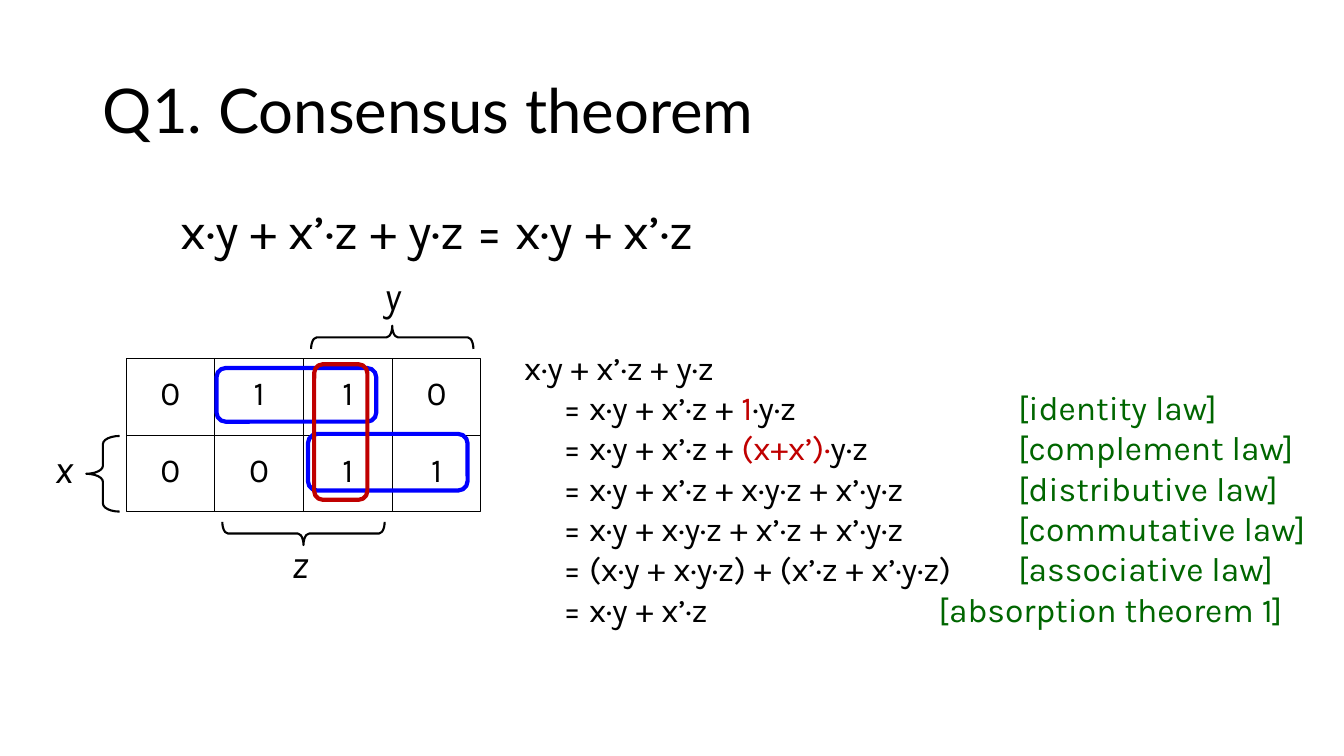
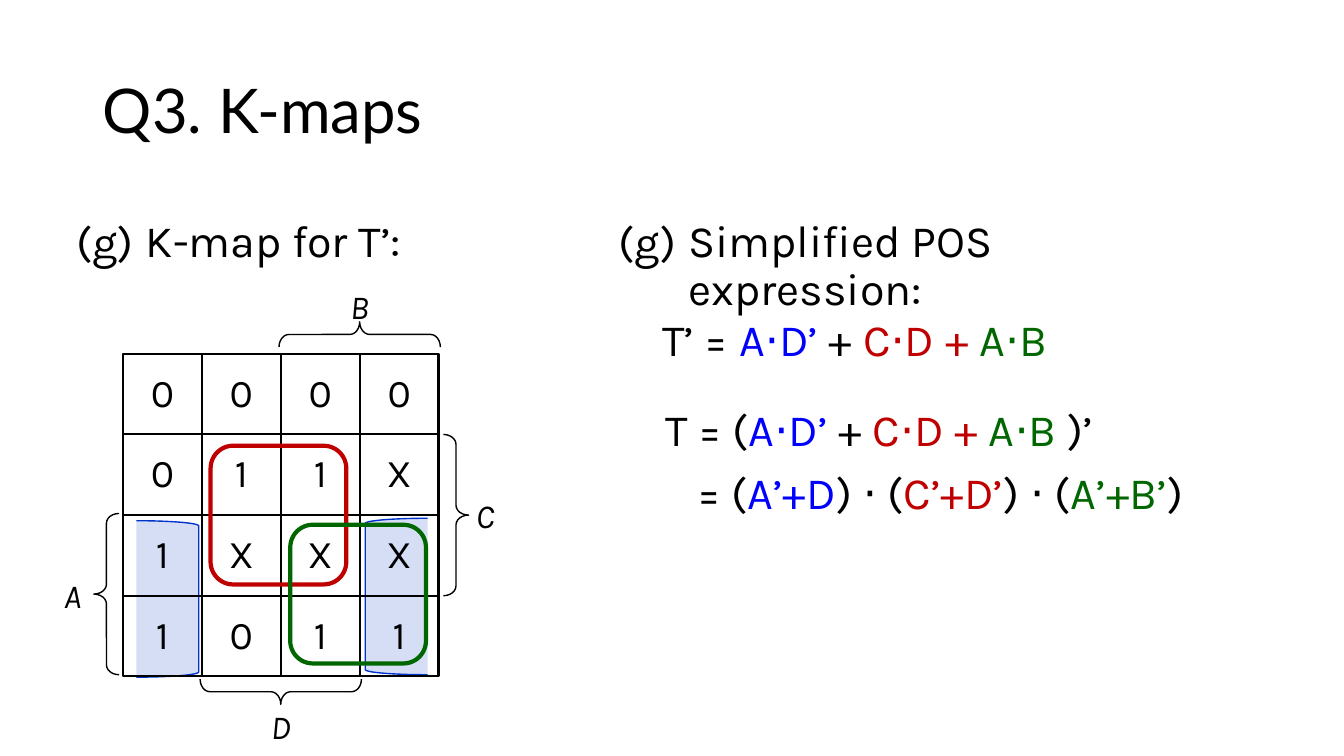
from lxml import etree
from pptx import Presentation
from pptx.dml.color import RGBColor
from pptx.enum.shapes import MSO_SHAPE
from pptx.enum.text import MSO_ANCHOR, MSO_AUTO_SIZE, PP_ALIGN
from pptx.oxml.ns import qn
from pptx.util import Inches, Pt

BLACK, BLUE, RED, GREEN, SHADE = "000000", "0000FF", "C00000", "006600", "0033CC"
BODY, HEAD = "Karla", "Lato"


def write(tf, text, size, font=BODY, align=PP_ALIGN.LEFT, italic=False, spacing=None,
          after=0, tabs=(), anchor=MSO_ANCHOR.TOP):
    """Text is a string, or paragraphs made of (words, colour) runs."""
    tf.word_wrap = True
    tf.auto_size = MSO_AUTO_SIZE.NONE
    tf.vertical_anchor = anchor
    paras = [[(text, BLACK)]] if isinstance(text, str) else text
    for i, runs in enumerate(paras):
        p = tf.add_paragraph() if i else tf.paragraphs[0]
        p.alignment = align
        p.space_after = Pt(after)
        if spacing:
            p.line_spacing = spacing
        if tabs:
            # the last paragraph may have its own second stop
            stops = tabs[min(i, len(tabs) - 1)]
            lst = etree.SubElement(p._p.get_or_add_pPr(), qn("a:tabLst"))
            for stop in stops:
                etree.SubElement(lst, qn("a:tab"), pos=str(Inches(stop)), algn="l")
        for words, color in runs:
            r = p.add_run()
            r.text = words
            r.font.name, r.font.size, r.font.italic = font, Pt(size), italic
            r.font.color.rgb = RGBColor.from_string(color)


def draw(s, kind, x, y, w, h, line, pt, fill=None, alpha=16, rot=0, adj=None):
    sp = s.shapes.add_shape(kind, Inches(x), Inches(y), Inches(w), Inches(h))
    sp.shadow.inherit = False
    sp.line.color.rgb = RGBColor.from_string(line)
    sp.line.width = Pt(pt)
    sp.rotation = rot
    if adj:
        sp.adjustments[0] = adj
    if fill:
        sp.fill.solid()
        sp.fill.fore_color.rgb = RGBColor.from_string(fill)
        clr = sp.fill._xPr.find(".//" + qn("a:srgbClr"))
        etree.SubElement(clr, qn("a:alpha"), val=str(alpha * 1000))
    else:
        sp.fill.background()
    return sp


prs = Presentation()
prs.slide_width, prs.slide_height = Inches(13.33), Inches(7.5)

# K-maps: places inside a map are in columns and rows from its top left corner
# braces: label, label centre, brace centre, length, depth, rotation
# shades and loops: kind or colour, column, row, columns wide, rows high
kmaps = [
    dict(title="Q1. Consensus theorem", x=1.25, y=3.56, cw=0.88, rh=0.76,
         rows=["0110", "0011"], size=24, label_size=28, pt=0.75, lift=0.1,
         brace_pt=1.5, adj=0.243,
         braces=[("x", (-0.7, 1.42), (-0.26, 1.5), 0.75, 0.33, 0),
                 ("y", (3, -0.84), (3, -0.28), 1.61, 0.23, 90),
                 ("z", (1.96, 2.66), (2, 2.28), 1.61, 0.23, 270)],
         shades=[],
         loops=[(BLUE, 1.02, 0.12, 1.8, 0.7), (BLUE, 2.05, 0.98, 1.8, 0.74),
                (RED, 2.12, 0.07, 0.6, 1.77)]),
    dict(title="Q3. K-maps", x=1.22, y=3.51, cw=3.13 / 4, rh=0.8,
         rows=["0000", "011X", "1XXX", "1011"], size=28, label_size=24, pt=1.5, lift=0.05,
         brace_pt=1, adj=0.389,
         braces=[("A", (-0.64, 2.99), (-0.21, 2.98), 1.6, 0.25, 0),
                 ("B", (3, -0.59), (3, -0.24), 1.6, 0.25, 90),
                 ("C", (4.59, 2), (4.22, 2), 1.6, 0.25, 180),
                 ("D", (2, 4.62), (2, 4.19), 1.6, 0.25, 270)],
         shades=[(MSO_SHAPE.LEFT_BRACKET, 3.07, 2.04, 0.79, 1.94),
                 (MSO_SHAPE.RIGHT_BRACKET, 0.17, 2.07, 0.79, 1.94)],
         loops=[(RED, 1.11, 1.14, 1.72, 1.72), (GREEN, 2.12, 2.12, 1.72, 1.72)]),
]

for k in kmaps:
    s = prs.slides.add_slide(prs.slide_layouts[5])
    x, y, cw, rh = k["x"], k["y"], k["cw"], k["rh"]

    # Title
    title = s.shapes.title
    title.left, title.top = Inches(0.92), Inches(0.4)
    title.width, title.height = Inches(11.5), Inches(1.45)
    write(title.text_frame, k["title"], 44, font=HEAD, spacing=0.9, anchor=MSO_ANCHOR.MIDDLE)

    # Shaded halves of the wrapped group
    for kind, c, r, w, h in k["shades"]:
        draw(s, kind, x + c * cw, y + r * rh, w * cw, h * rh, SHADE, 1, fill=SHADE)

    # Cells
    for r, row in enumerate(k["rows"]):
        for c, value in enumerate(row):
            cell = draw(s, MSO_SHAPE.RECTANGLE, x + c * cw, y + r * rh, cw, rh, BLACK, k["pt"])
            tf = cell.text_frame
            tf.margin_top, tf.margin_bottom = 0, Inches(k["lift"])
            write(tf, value, k["size"], align=PP_ALIGN.CENTER, anchor=MSO_ANCHOR.MIDDLE)

    # Braces and variable names
    for name, (lc, lr), (bc, br), length, depth, rot in k["braces"]:
        draw(s, MSO_SHAPE.LEFT_BRACE, x + bc * cw - depth / 2, y + br * rh - length / 2,
             depth, length, BLACK, k["brace_pt"], rot=rot, adj=k["adj"])
        tb = s.shapes.add_textbox(Inches(x + lc * cw - 0.3), Inches(y + lr * rh - 0.28),
                                  Inches(0.6), Inches(0.56))
        write(tb.text_frame, name, k["label_size"], align=PP_ALIGN.CENTER, italic=True,
              anchor=MSO_ANCHOR.MIDDLE)

    # Loops around groups of ones
    for color, c, r, w, h in k["loops"]:
        draw(s, MSO_SHAPE.ROUNDED_RECTANGLE, x + c * cw, y + r * rh, w * cw, h * rh, color, 3)

# Formulas: slide, place, text, size, format
proof = [
    [("x·y + x’·z + y·z", BLACK)],
    [("\t= x·y + x’·z + ", BLACK), ("1", RED), ("·y·z", BLACK), ("\t[identity law]", GREEN)],
    [("\t= x·y + x’·z + ", BLACK), ("(x+x’)·", RED), ("y·z", BLACK),
     ("\t[complement law]", GREEN)],
    [("\t= x·y + x’·z + x·y·z + x’·y·z", BLACK), ("\t[distributive law]", GREEN)],
    [("\t= x·y + x·y·z + x’·z + x’·y·z", BLACK), ("\t[commutative law]", GREEN)],
    [("\t= (x·y + x·y·z) + (x’·z + x’·y·z)", BLACK), ("\t[associative law]", GREEN)],
    [("\t= x·y + x’·z", BLACK), ("\t[absorption theorem 1]", GREEN)],
]
terms = [("A⋅D’ ", BLUE), ("+ ", BLACK), ("C⋅D + ", RED), ("A⋅B", GREEN)]
pos = [
    [("T = (", BLACK), *terms, (" )’", BLACK)],
    [("\t= (", BLACK), ("A’+D", BLUE), (") ⋅ (", BLACK), ("C’+D’", RED), (") ⋅ (", BLACK),
     ("A’+B’", GREEN), (")", BLACK)],
]
formulas = [
    (0, (1.31, 1.93, 6.05, 0.71), "x·y + x’·z + y·z = x·y + x’·z", 36,
     dict(align=PP_ALIGN.CENTER)),
    (0, (5.1, 3.39, 8.24, 2.93), proof, 24, dict(tabs=[(0.39, 4.9)] * 6 + [(0.39, 4.11)])),
    (1, (0.66, 2.13, 0.86, 0.72), "(g)", 32, dict(spacing=0.9)),
    (1, (1.35, 2.12, 5.14, 0.72), "K-map for T’:", 32, dict(spacing=0.9)),
    (1, (6.04, 2.13, 0.86, 0.72), "(g)", 32, dict(spacing=0.9)),
    (1, (6.73, 2.12, 5.14, 0.72), "Simplified POS expression:", 32, dict(spacing=0.9)),
    (1, (6.47, 3.1, 4.42, 0.72), [[("T’ = ", BLACK), *terms]], 32, dict(spacing=0.9)),
    (1, (6.5, 3.94, 5.91, 1.64), pos, 32, dict(after=6, tabs=[(0.32,)])),
]
for n, place, text, size, fmt in formulas:
    tb = prs.slides[n].shapes.add_textbox(*map(Inches, place))
    write(tb.text_frame, text, size, **fmt)

prs.save("out.pptx")
